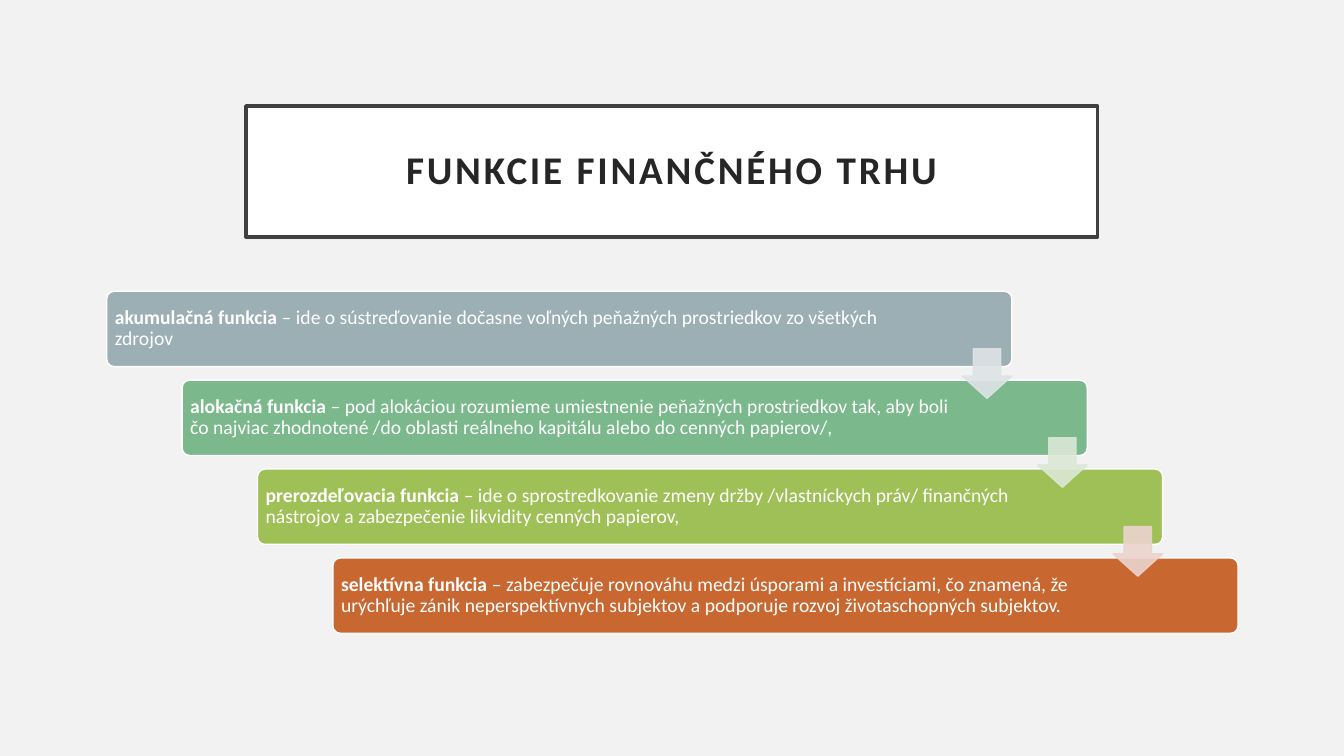
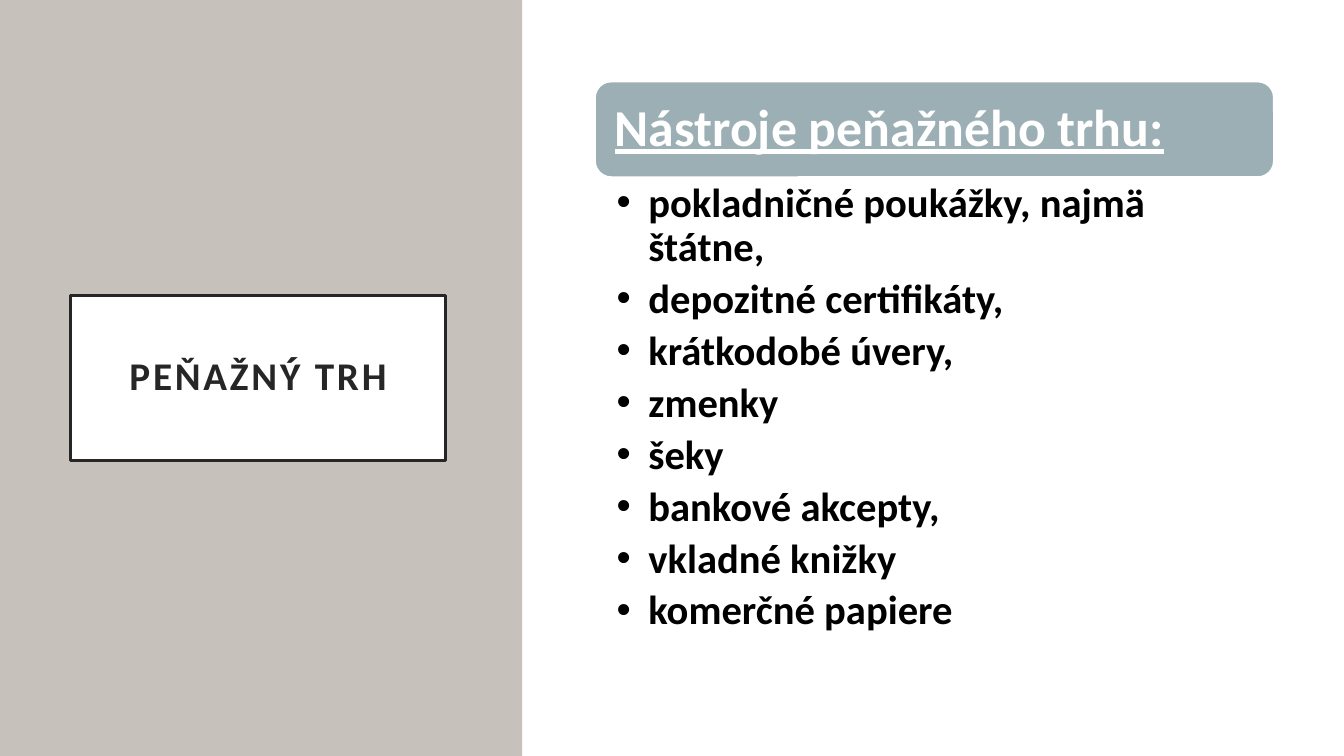
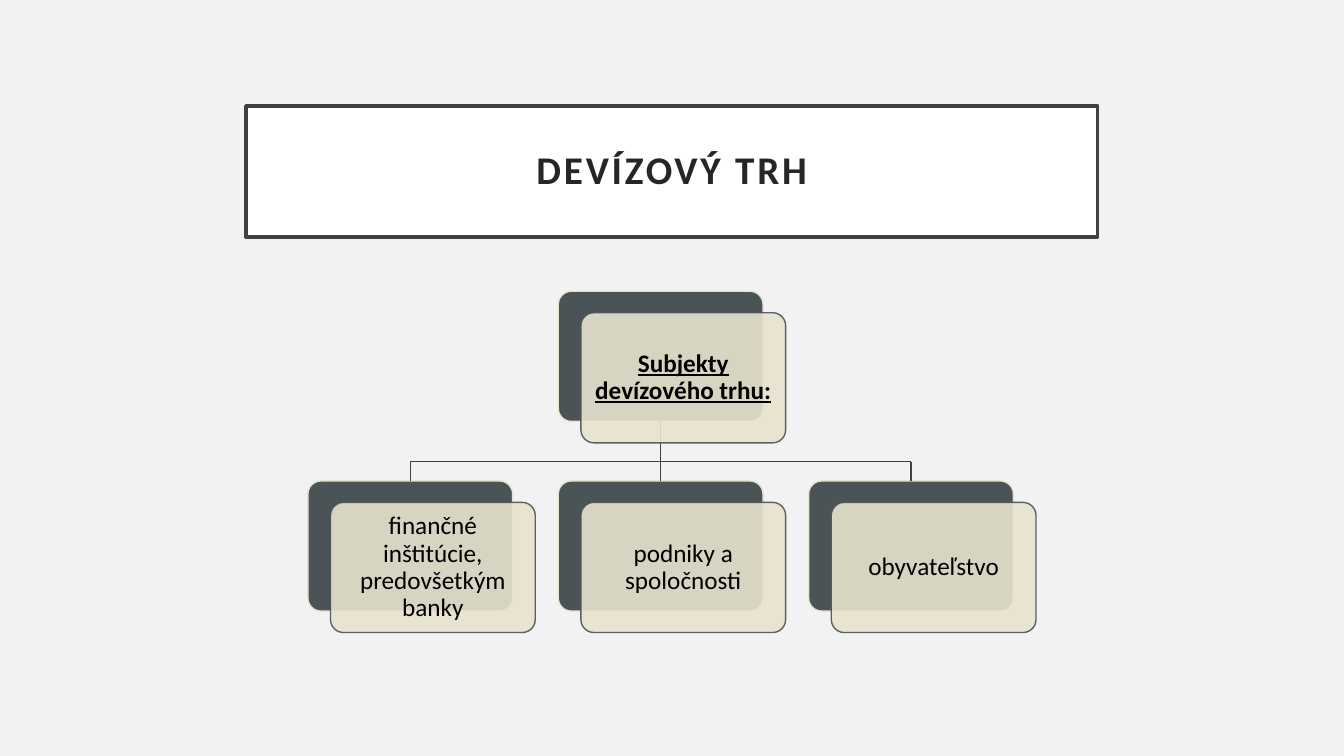
from lxml.etree import SubElement
from pptx import Presentation
from pptx.dml.color import RGBColor
from pptx.enum.shapes import MSO_CONNECTOR as LINK, MSO_SHAPE as SHAPE
from pptx.enum.text import MSO_ANCHOR as ANCHOR, MSO_AUTO_SIZE as FIT, PP_ALIGN as ALIGN
from pptx.oxml.ns import qn
from pptx.util import Cm, Pt

FONT = "Calibri"
WHITE = RGBColor(0xFF, 0xFF, 0xFF)
BLACK = RGBColor(0, 0, 0)
PALE = RGBColor(0xF2, 0xF2, 0xF2)
INK = RGBColor(0x26, 0x26, 0x26)
FRAME = RGBColor(0x40, 0x40, 0x40)
STONE = RGBColor(0xC6, 0xC1, 0xBA)
STEEL = RGBColor(0x9B, 0xAF, 0xB5)
GREEN = RGBColor(0x7B, 0xB8, 0x8C)
LIME = RGBColor(0x9F, 0xC0, 0x57)
RUST = RGBColor(0xC9, 0x67, 0x31)
MIST = RGBColor(0xDE, 0xE3, 0xE5)
MINT = RGBColor(0xDB, 0xE8, 0xD6)
BLUSH = RGBColor(0xEB, 0xD3, 0xCD)
SLATE = RGBColor(0x4A, 0x53, 0x56)
CREAM = RGBColor(0xE8, 0xE3, 0xCE)
WIRE = RGBColor(0x3B, 0x42, 0x45)

BANNER = (6.2, 2.67, 21.46, 3.3)
TOP = 7.34

STEPS = [
    ("akumulačná funkcia", " – ide o sústreďovanie dočasne voľných peňažných "
     "prostriedkov zo všetkých zdrojov", STEEL, 2.25),
    ("alokačná funkcia", " – pod alokáciou rozumieme umiestnenie peňažných "
     "prostriedkov tak, aby boli čo najviac zhodnotené /do oblasti reálneho "
     "kapitálu alebo do cenných papierov/,", GREEN, 3.3),
    ("prerozdeľovacia funkcia ", "– ide o sprostredkovanie zmeny držby "
     "/vlastníckych práv/ finančných nástrojov a zabezpečenie likvidity "
     "cenných papierov,", LIME, 3.3),
    ("selektívna funkcia ", "– zabezpečuje rovnováhu medzi úsporami "
     "a investíciami, čo znamená, že urýchľuje zánik neperspektívnych "
     "subjektov a podporuje rozvoj životaschopných subjektov.", RUST, 3.3),
]
TOOLS = ["pokladničné poukážky, najmä štátne,", "depozitné certifikáty,",
         "krátkodobé úvery,", "zmenky", "šeky", "bankové akcepty,",
         "vkladné knižky", "komerčné papiere"]
ACTORS = ["finančné inštitúcie, predovšetkým banky",
          "podniky a spoločnosti", "obyvateľstvo"]


def place(shape, x, y, w, h):
    shape.left, shape.top, shape.width, shape.height = Cm(x), Cm(y), Cm(w), Cm(h)


def paint(shape, fill, line=None, width=1):
    shape.fill.solid()
    shape.fill.fore_color.rgb = fill
    if line is None:
        shape.line.fill.background()
    else:
        shape.line.color.rgb = line
        shape.line.width = Pt(width)


def fade(fill, share):
    """Set the opacity, in percent, of a solid fill."""
    for tone in fill._xPr.iter(qn("a:srgbClr")):
        SubElement(tone, qn("a:alpha")).set("val", str(share * 1000))


def add_block(slide, kind, box, fill, line=None, adjust=()):
    shape = slide.shapes.add_shape(kind, *map(Cm, box))
    shape.shadow.inherit = False
    paint(shape, fill, line)
    for i, value in enumerate(adjust):
        shape.adjustments[i] = value
    return shape


def write(shape, *lines, head="", size=18, color=BLACK, bold=False, line=False,
          align=ALIGN.LEFT, anchor=ANCHOR.MIDDLE, inset=(0.2, 0.2, 0.2, 0.2),
          after=0, track=0, bullet=None):
    """Fill a shape with one paragraph per line; head is a bold lead-in."""
    frame = shape.text_frame
    frame.word_wrap = True
    frame.auto_size = FIT.NONE
    frame.vertical_anchor = anchor
    (frame.margin_left, frame.margin_top,
     frame.margin_right, frame.margin_bottom) = map(Cm, inset)
    for i, text in enumerate(lines):
        para = frame.add_paragraph() if i else frame.paragraphs[0]
        para.alignment = align
        para.line_spacing = 0.9
        para.space_before = Pt(0)
        para.space_after = Pt(after)
        if bullet:
            props = para._p.get_or_add_pPr()
            props.set("marL", str(Cm(bullet)))
            props.set("indent", str(-Cm(bullet)))
            SubElement(props, qn("a:buChar")).set("char", "•")
        for part, strong in ((head, True), (text, bold)):
            if not part:
                continue
            run = para.add_run()
            run.text = part
            font = run.font
            font.name, font.size, font.bold = FONT, Pt(size), strong
            font.underline = line
            font.color.rgb = color
            if track:
                run._r.get_or_add_rPr().set("spc", str(track * 100))


def add_page(deck, layout, title, box=BANNER, edge=FRAME):
    slide = deck.slides.add_slide(deck.slide_layouts[layout])
    name = slide.shapes.title
    place(name, *box)
    paint(name, WHITE, edge, 2.5)
    write(name, title, size=28, color=INK, bold=True, align=ALIGN.CENTER,
          inset=(0.5,) * 4, track=2)
    return slide


def add_wire(slide, x1, y1, x2, y2):
    wire = slide.shapes.add_connector(LINK.STRAIGHT, x1, y1, x2, y2)
    wire.line.color.rgb = WIRE
    wire.line.width = Pt(1)
    SubElement(wire._element.spPr, qn("a:effectLst"))
    return wire


def add_stairs(deck):
    slide = add_page(deck, 5, "FUNKCIE FINANČNÉHO TRHU")
    left, wide, high, side = 2.69, 22.81, 1.9, 1.25
    over, down = 1.9, 2.24
    for i, (head, text, fill, room) in enumerate(STEPS):
        bar = add_block(slide, SHAPE.ROUNDED_RECTANGLE,
                        (left + i * over, TOP + i * down, wide, high),
                        fill, WHITE, [0.1])
        write(bar, text, head=head, size=14, color=WHITE,
              inset=(0.15, 0.15, room, 0.15))
    for i, fill in enumerate((MIST, MINT, BLUSH)):
        arrow = add_block(slide, SHAPE.DOWN_ARROW,
                          (left + wide - side + i * over, TOP + 1.45 + i * down,
                           side, side), fill, fill, [0.55, 0.45])
        fade(arrow.fill, 90)
        fade(arrow.line.fill, 90)


def add_list(deck):
    slide = add_page(deck, 1, "PEŇAŽNÝ TRH", (1.78, 7.44, 9.45, 4.17), INK)
    slide.background.fill.solid()
    slide.background.fill.fore_color.rgb = WHITE
    panel = add_block(slide, SHAPE.RECTANGLE, (0, 0, 13.16, 19.05), STONE)
    slide.shapes.title._element.addprevious(panel._element)
    left, wide, high = 15, 17.1, 2.4
    label = add_block(slide, SHAPE.ROUNDED_RECTANGLE, (left, 2.06, wide, high),
                      STEEL, WHITE)
    write(label, "Nástroje peňažného trhu:", size=37, color=WHITE, bold=True,
          line=True, inset=(0.38,) * 4)
    body = slide.placeholders[1]
    place(body, left, 2.06 + high, wide, 11.7)
    write(body, *TOOLS, size=29, bold=True, anchor=ANCHOR.TOP,
          inset=(0.54, 0.13, 0.74, 0.13), after=5.8, bullet=0.8)


def add_tree(deck):
    slide = add_page(deck, 5, "DEVÍZOVÝ TRH")
    left, step, low = 7.76, 6.31, 12.12
    wide, high = 5.16, 3.28
    spots = [(left + step, TOP)] + [(left + i * step, low) for i in range(3)]
    root, *kids = [add_block(slide, SHAPE.ROUNDED_RECTANGLE, (x, y, wide, high),
                             SLATE, CREAM, [0.1]) for x, y in spots]
    mids = [kid.left + kid.width // 2 for kid in kids]
    bus = Cm(11.63)
    trunk = add_wire(slide, mids[1], bus, mids[1], bus)
    trunk.begin_connect(root, 2)
    trunk.end_connect(kids[1], 0)
    add_wire(slide, mids[0], bus, mids[2], bus)
    for i in (0, 2):
        drop = add_wire(slide, mids[i], bus, mids[i], kids[i].top)
        drop.end_connect(kids[i], 0)
    for i, (x, y) in enumerate(spots):
        card = add_block(slide, SHAPE.ROUNDED_RECTANGLE,
                         (x + 0.57, y + 0.54, wide, high), CREAM, SLATE, [0.1])
        fade(card.fill, 90)
        text = ACTORS[i - 1] if i else "Subjekty devízového trhu:"
        write(card, text, bold=not i, line=not i, align=ALIGN.CENTER,
              inset=(0.18,) * 4)


def main():
    deck = Presentation()
    deck.slide_width, deck.slide_height = Cm(33.87), Cm(19.05)
    back = deck.slide_master.background.fill
    back.solid()
    back.fore_color.rgb = PALE
    add_stairs(deck)
    add_list(deck)
    add_tree(deck)
    deck.save("out.pptx")


if __name__ == "__main__":
    main()
